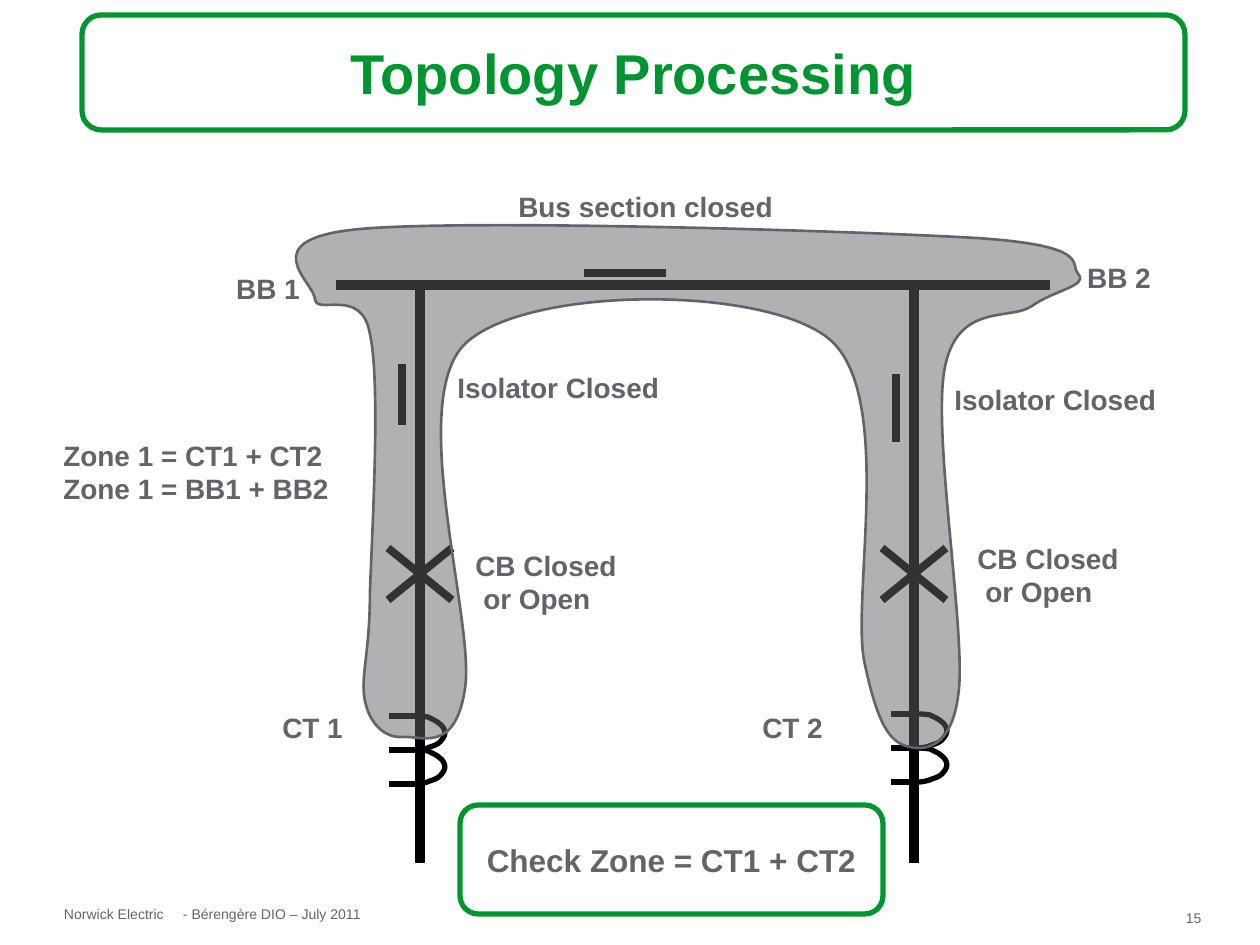
from pptx import Presentation
from pptx.dml.color import RGBColor
from pptx.enum.shapes import MSO_CONNECTOR, MSO_SHAPE
from pptx.enum.text import MSO_ANCHOR, MSO_AUTO_SIZE, PP_ALIGN
from pptx.oxml.ns import qn
from pptx.util import Pt
from lxml import etree

STRAIGHT = MSO_CONNECTOR.STRAIGHT
ROUNDED = MSO_SHAPE.ROUNDED_RECTANGLE
ALTERNATE = MSO_SHAPE.FLOWCHART_ALTERNATE_PROCESS
TOP, MIDDLE = MSO_ANCHOR.TOP, MSO_ANCHOR.MIDDLE
LEFT, CENTER = PP_ALIGN.LEFT, PP_ALIGN.CENTER
FIT_SHAPE = MSO_AUTO_SIZE.SHAPE_TO_FIT_TEXT

PX = 914400 / 126
FONT = "Arial"
GREY, GREEN, BLACK, WHITE = "626469", "009530", "000000", "FFFFFF"
SECOND_LINE_INDENT = 8

FOOTER = [
    ("Norwick Electric", 64, 906, 113, 16),
    ("- Bérengère DIO – July 2011", 183, 906, 179, 16),
    ("15", 1186, 910, 40, 10),
]

LABELS = [
    (["Bus section closed"], LEFT, 506, 183, 280, 47),
    (["BB 1"], CENTER, 218, 265, 100, 47),
    (["BB 2"], CENTER, 1069, 254, 100, 47),
    (["Isolator Closed"], LEFT, 445, 364, 227, 47),
    (["Isolator Closed"], LEFT, 942, 376, 227, 47),
    (["Zone 1 = CT1 + CT2", "Zone 1 = BB1 + BB2"], LEFT, 51, 432, 299, 113),
    (["CB Closed", "or Open"], LEFT, 463, 542, 166, 81),
    (["CB Closed", "or Open"], LEFT, 965, 535, 166, 81),
    (["CT 1"], LEFT, 270, 704, 115, 47),
    (["CT 2"], LEFT, 750, 704, 115, 47),
]

FRAMES = [
    ("Topology Processing", ROUNDED, 82, 15, 1103, 115, 32, GREEN, None),
    ("Check Zone = CT1 + CT2", ALTERNATE, 460, 805, 423, 109, 18, GREY, WHITE),
]

BUSBAR_Y, FEEDER_END = 285, 863
BUSBAR = (336, 1050)
BUS_SECTION = (584, 666, 273)
BAYS = [
    {"x": 420, "isolator": (402, 364, 425), "ct": (417, 716)},
    {"x": 914, "isolator": (896, 374, 442), "ct": (919, 714)},
]
BREAKER_TOP, BREAKER_BOTTOM, BREAKER_HALF = 548, 600, 32
TURN_PITCH, TURN_LEAD = 34, 28

TURN = [
    (0, 0),
    (1, 0), (6, 0), (11, 1),
    (15, 3), (20, 5), (23, 8),
    (26, 10), (28, 14), (28, 17),
    (28, 20), (25, 24), (23, 26),
    (20, 29), (16, 30), (13, 31),
    (9, 33), (3, 34), (0, 34),
]

ZONE = [
    (365, 701),
    (370, 725), (386, 738), (402, 737),
    (420, 735), (455, 755), (465, 689),
    (476, 624), (406, 402), (465, 344),
    (525, 286), (761, 285), (828, 338),
    (895, 391), (852, 592), (864, 660),
    (878, 728), (891, 741), (906, 746),
    (922, 751), (953, 752), (959, 689),
    (965, 625), (932, 430), (945, 367),
    (958, 302), (1011, 321), (1032, 306),
    (1055, 290), (1087, 286), (1079, 275),
    (1068, 265), (1096, 246), (977, 238),
    (857, 231), (471, 219), (360, 229),
    (251, 239), (314, 282), (315, 299),
    (316, 316), (362, 286), (370, 334),
    (381, 383), (372, 532), (370, 593),
    (370, 654), (360, 677), (365, 701),
]


def px(n):
    return round(n * PX)


def rgb(value):
    return RGBColor.from_string(value)


def set_line(line, color, width):
    line.color.rgb = rgb(color)
    line.width = Pt(width)


def add_line(shapes, x1, y1, x2, y2, width):
    sp = shapes.add_connector(STRAIGHT, px(x1), px(y1), px(x2), px(y2))
    set_line(sp.line, BLACK, width)
    etree.SubElement(sp._element.spPr, qn("a:effectLst"))


def add_curve(shapes, nodes, close, color, width):
    points = [(px(x), px(y)) for x, y in nodes]
    builder = shapes.build_freeform(*points[0])
    builder.add_line_segments(points[1:], close=close)
    sp = builder.convert_to_shape()
    segments = list(sp._element.spPr.iter(qn("a:lnTo")))
    for i in range(0, len(segments), 3):
        curve = etree.Element(qn("a:cubicBezTo"))
        segments[i].addprevious(curve)
        for segment in segments[i:i + 3]:
            curve.append(segment[0])
            segment.getparent().remove(segment)
    sp.shadow.inherit = False
    sp.fill.background()
    set_line(sp.line, color, width)
    return sp


def write(sp, lines, size, color, bold, align, anchor):
    tf = sp.text_frame
    tf.word_wrap = False
    tf.vertical_anchor = anchor
    for i, text in enumerate(lines):
        p = tf.paragraphs[0] if i == 0 else tf.add_paragraph()
        p.text = text
        p.alignment = align
        p.font.name = FONT
        p.font.size = Pt(size)
        p.font.bold = bold
        p.font.color.rgb = rgb(color)
    return tf


def add_bay(shapes, x, isolator, ct):
    ix, top, bottom = isolator
    add_line(shapes, ix, top, ix, bottom, 4.5)
    add_line(shapes, x, BUSBAR_Y, x, FEEDER_END, 6)
    left, right = x - BREAKER_HALF, x + BREAKER_HALF
    add_line(shapes, left, BREAKER_TOP, right, BREAKER_BOTTOM, 4.5)
    add_line(shapes, right, BREAKER_TOP, left, BREAKER_BOTTOM, 4.5)
    cx, cy = ct
    for turn in range(3):
        y = cy + turn * TURN_PITCH
        add_line(shapes, cx, y, cx - TURN_LEAD, y, 3)
        if turn < 2:
            add_curve(shapes, [(cx + dx, y + dy) for dx, dy in TURN], False, BLACK, 3)


def main():
    prs = Presentation()
    prs.slide_width, prs.slide_height = px(1260), px(945)
    shapes = prs.slides.add_slide(prs.slide_layouts[6]).shapes

    for text, *box in FOOTER:
        sp = shapes.add_textbox(*map(px, box))
        tf = write(sp, [text], 8, GREY, False, LEFT, TOP)
        tf.margin_left = tf.margin_right = tf.margin_top = tf.margin_bottom = 0

    start, end, y = BUS_SECTION
    add_line(shapes, start, y, end, y, 4.5)
    add_line(shapes, BUSBAR[0], BUSBAR_Y, BUSBAR[1], BUSBAR_Y, 6)
    for bay in BAYS:
        add_bay(shapes, **bay)

    zone = add_curve(shapes, ZONE, True, GREY, 1.5)
    zone.fill.solid()
    zone.fill.fore_color.rgb = rgb(GREY)
    color = zone._element.spPr.find(qn("a:solidFill")).find(qn("a:srgbClr"))
    etree.SubElement(color, qn("a:alpha"), val="50000")

    for lines, align, *box in LABELS:
        sp = shapes.add_textbox(*map(px, box))
        tf = write(sp, lines, 16, GREY, True, align, TOP)
        tf.auto_size = FIT_SHAPE
        if lines[-1] == "or Open":
            tf.paragraphs[-1]._p.get_or_add_pPr().set("marL", str(px(SECOND_LINE_INDENT)))

    for text, kind, x, y, w, h, size, color, fill in FRAMES:
        sp = shapes.add_shape(kind, px(x), px(y), px(w), px(h))
        sp.shadow.inherit = False
        if fill:
            sp.fill.solid()
            sp.fill.fore_color.rgb = rgb(fill)
        else:
            sp.fill.background()
        set_line(sp.line, GREEN, 3)
        write(sp, [text], size, color, True, CENTER, MIDDLE)

    prs.save("out.pptx")


if __name__ == "__main__":
    main()
